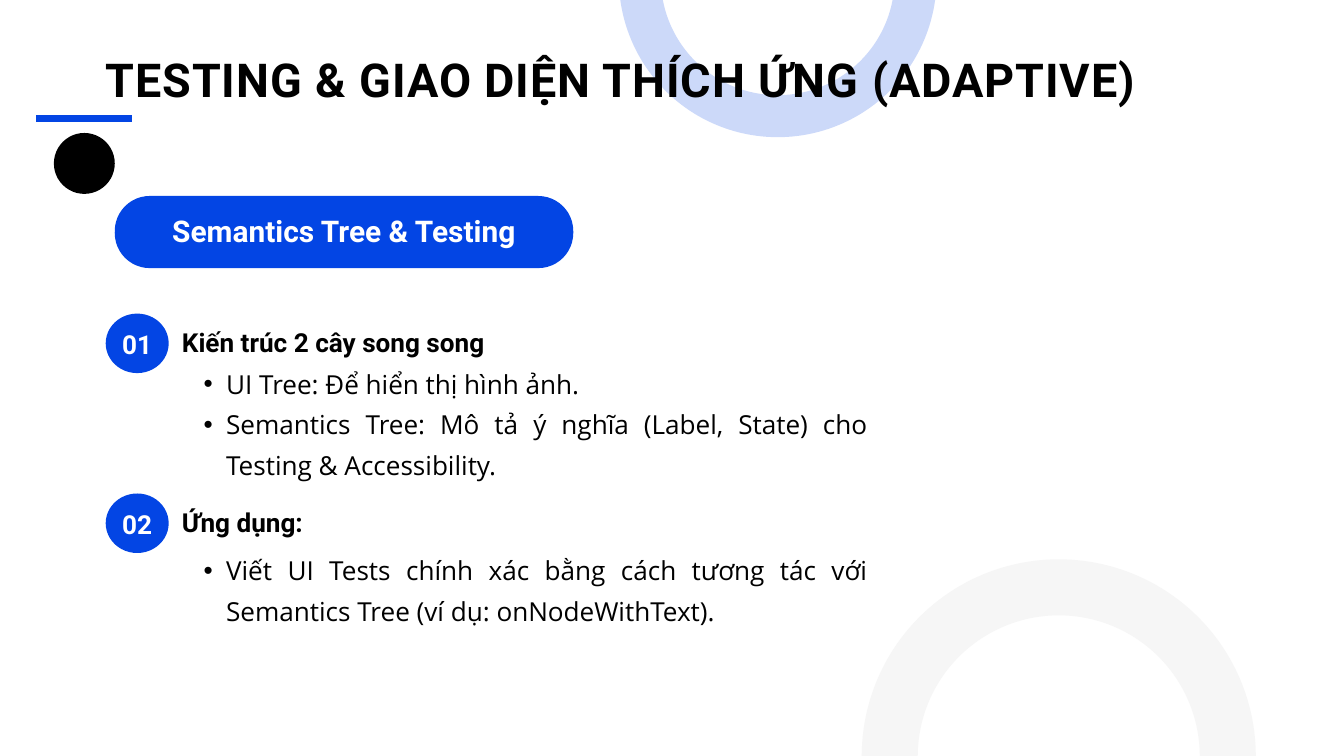
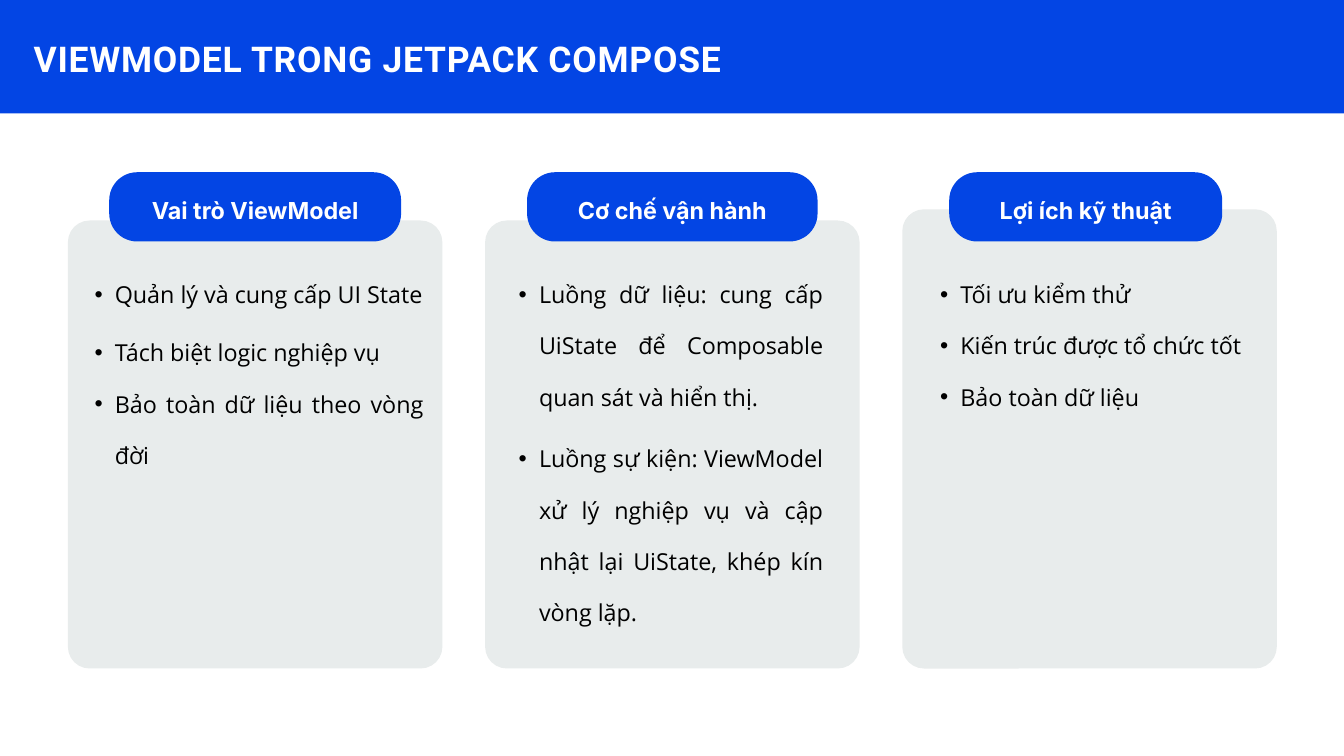
from lxml import etree
from pptx import Presentation
from pptx.dml.color import RGBColor
from pptx.enum.shapes import MSO_CONNECTOR, MSO_SHAPE as SHAPE
from pptx.enum.text import MSO_ANCHOR as ANCHOR, MSO_AUTO_SIZE, PP_ALIGN as ALIGN
from pptx.oxml.ns import qn
from pptx.util import Pt

PX = 9525
WIDTH, HEIGHT = 1920, 1080

BLUE = RGBColor(0x03, 0x45, 0xE4)
BLACK = RGBColor(0, 0, 0)
WHITE = RGBColor(255, 255, 255)
CARD_GRAY = RGBColor(0xE8, 0xEC, 0xEC)
RING_GRAY = RGBColor(0xF6, 0xF6, 0xF6)

HEAD_FONT, LABEL_FONT, BODY_FONT = "Roboto", "Inter", "Open Sans"

TWO_LISTS, FOUR_LISTS = 3, 4  # layouts of the default template


def px(*lengths):
    return [round(n * PX) for n in lengths]


def add_bullet(p, indent, hanging):
    pPr = p._p.get_or_add_pPr()
    pPr.set("marL", str(indent * PX))
    pPr.set("indent", str(-hanging * PX))
    etree.SubElement(pPr, qn("a:buFont")).set("typeface", "Arial")
    etree.SubElement(pPr, qn("a:buChar")).set("char", "•")


def write(sp, *lines, size, line, font=HEAD_FONT, color=BLACK, bold=True,
          align=ALIGN.LEFT, anchor=ANCHOR.TOP, bullet=None, second_gap=0,
          tracking=0, shift=0):
    """Fill sp with paragraphs; shift moves centred text down by that many px."""
    tf = sp.text_frame
    tf.word_wrap = True
    tf.auto_size = MSO_AUTO_SIZE.NONE
    tf.vertical_anchor = anchor
    tf.margin_left = tf.margin_right = 0
    tf.margin_top, tf.margin_bottom = px(max(2 * shift, 0), max(-2 * shift, 0))
    for i, text in enumerate(lines):
        p = tf.add_paragraph() if i else tf.paragraphs[0]
        if bullet:
            add_bullet(p, *bullet)
        p.alignment = align
        p.line_spacing = Pt(line)
        p.space_before = Pt(second_gap if i == 1 else 0)
        p.space_after = Pt(0)
        r = p.add_run()
        r.text = text
        r.font.name, r.font.size, r.font.bold = font, Pt(size), bold
        r.font.color.rgb = color
        if tracking:
            r._r.get_or_add_rPr().set("spc", str(round(tracking * 100)))


def place(sp, *box):
    """Move a placeholder to box and bring it to the front."""
    sp.left, sp.top, sp.width, sp.height = px(*box)
    sp.element.getparent().append(sp.element)
    return sp


def add_title(slide, text, *box, **fmt):
    write(place(slide.shapes.title, *box), text, **fmt)


def add_list(sp, box, items, **fmt):
    style = dict(font=BODY_FONT, bold=False, align=ALIGN.JUSTIFY)
    write(place(sp, *box), *items, **{**style, **fmt})


def body_placeholders(slide):
    return [sp for sp in slide.placeholders if sp.placeholder_format.idx > 0]


def add_shape(slide, kind, *box, fill=BLUE, radius=None):
    sp = slide.shapes.add_shape(kind, *px(*box))
    sp.shadow.inherit = False
    sp.fill.solid()
    sp.fill.fore_color.rgb = fill
    sp.line.fill.background()
    if radius is not None:
        sp.adjustments[0] = radius / min(box[2:])
    return sp


def add_label(slide, kind, box, text, radius=None, **fmt):
    sp = add_shape(slide, kind, *box, radius=radius)
    write(sp, text, color=WHITE, align=ALIGN.CENTER, anchor=ANCHOR.MIDDLE, **fmt)


def add_ring(slide, x, y, d, color, weight, opacity=100):
    sp = add_shape(slide, SHAPE.OVAL, x, y, d, d)
    sp.fill.background()
    sp.line.color.rgb = color
    sp.line.width = Pt(weight)
    if opacity < 100:
        clr = sp.line._ln.find(".//" + qn("a:srgbClr"))
        etree.SubElement(clr, qn("a:alpha")).set("val", str(opacity * 1000))


def add_rule(slide, x1, x2, y):
    rule = slide.shapes.add_connector(MSO_CONNECTOR.STRAIGHT, *px(x1, y, x2, y))
    rule.line.color.rgb = BLUE
    rule.line.width = Pt(7.5)
    etree.SubElement(rule._element.spPr, qn("a:effectLst"))


def add_section(slide, sp, number, text, items, top, list_top, list_height):
    """Numbered circle, heading and bullet list."""
    add_label(slide, SHAPE.OVAL, (151, top, 90, 85), number,
              size=28, line=39.2, shift=-2)
    heading = slide.shapes.add_textbox(*px(260, top + 11, 979, 51))
    write(heading, text, size=28, line=39.2)
    add_list(sp, (260, list_top, 979, list_height), items,
             size=28, line=43.4, bullet=(63, 32))


def build_testing(prs):
    slide = prs.slides.add_slide(prs.slide_layouts[TWO_LISTS])
    first, second = body_placeholders(slide)
    add_ring(slide, 914, -228, 394, BLUE, 45, opacity=20)
    add_ring(slide, 1271, 839, 483, RING_GRAY, 60)
    add_shape(slide, SHAPE.OVAL, 77, 190, 87, 87, fill=BLACK)
    add_label(slide, SHAPE.ROUNDED_RECTANGLE, (164, 280, 655, 103),
              "Semantics Tree & Testing", radius=50, size=32, line=44.8, shift=-6)
    add_rule(slide, 52, 189, 170)
    add_title(slide, "TESTING & GIAO DIỆN THÍCH ỨNG (ADAPTIVE)",
              151, 59, 1676, 89, size=50, line=70, tracking=1)
    add_section(slide, first, "01", "Kiến trúc 2 cây song song", [
        "UI Tree: Để hiển thị hình ảnh.",
        "Semantics Tree: Mô tả ý nghĩa (Label, State) cho Testing & Accessibility.",
    ], 448, 513, 225)
    add_section(slide, second, "02", "Ứng dụng:", [
        "Viết UI Tests chính xác bằng cách tương tác với Semantics Tree "
        "(ví dụ: onNodeWithText).",
    ], 705, 779, 111)


def build_viewmodel(prs):
    slide = prs.slides.add_slide(prs.slide_layouts[FOUR_LISTS])
    add_shape(slide, SHAPE.RECTANGLE, 0, 0, WIDTH, 162)
    add_title(slide, "VIEWMODEL TRONG JETPACK COMPOSE", 48, 43, 1486, 68,
              size=38, line=53.2, color=WHITE, tracking=0.8)
    # heading, card top, label (x, width), list (x, width, height), list format, items
    cards = [
        ("Vai trò ViewModel", 315, (156, 417), (107, 498, 294),
         dict(second_gap=7.5),
         ["Quản lý và cung cấp UI State", "Tách biệt logic nghiệp vụ",
          "Bảo toàn dữ liệu theo vòng đời"]),
        ("Cơ chế vận hành", 315, (753, 415), (713, 463, 516),
         dict(second_gap=11),
         ["Luồng dữ liệu: cung cấp UiState để Composable quan sát và hiển thị.",
          "Luồng sự kiện: ViewModel xử lý nghiệp vụ và cập nhật lại UiState, "
          "khép kín vòng lặp."]),
        ("Lợi ích kỹ thuật", 299, (1356, 390), (1315, 463, 210),
         dict(align=ALIGN.LEFT),
         ["Tối ưu kiểm thử", "Kiến trúc được tổ chức tốt", "Bảo toàn dữ liệu"]),
    ]
    bodies = body_placeholders(slide)
    for i, (heading, top, label, body, fmt, items) in enumerate(cards):
        add_shape(slide, SHAPE.ROUNDED_RECTANGLE, 97 + 596 * i, top, 535, 955 - top,
                  fill=CARD_GRAY, radius=31)
        add_label(slide, SHAPE.ROUNDED_RECTANGLE, (label[0], 246, label[1], 99),
                  heading, radius=40, font=LABEL_FONT, size=25, line=35, shift=2)
        x, w, h = body
        add_list(bodies[i], (x, 367, w, h), items,
                 size=25, line=55, bullet=(57, 29), **fmt)
    for sp in bodies[len(cards):]:
        sp.element.getparent().remove(sp.element)


def main():
    prs = Presentation()
    prs.slide_width, prs.slide_height = px(WIDTH, HEIGHT)
    build_testing(prs)
    build_viewmodel(prs)
    prs.save("out.pptx")


if __name__ == "__main__":
    main()
